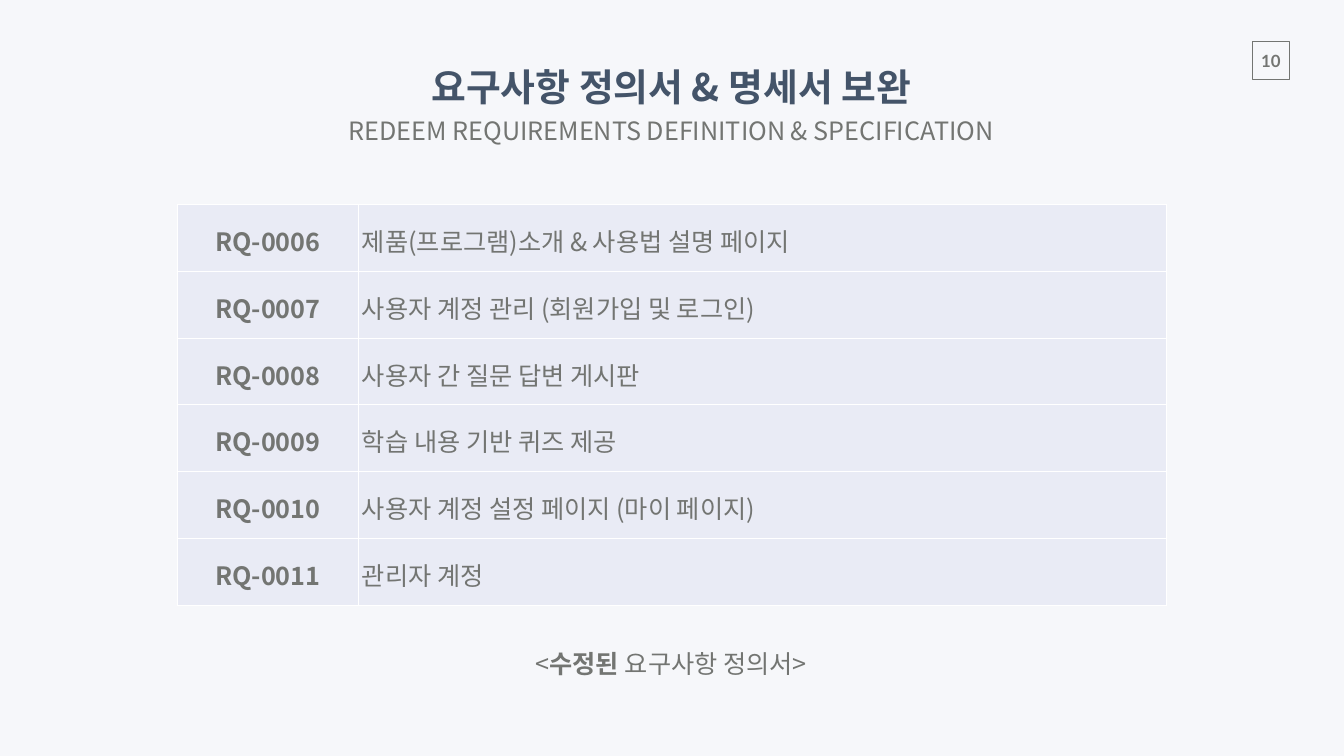
from lxml.etree import SubElement
from pptx import Presentation
from pptx.dml.color import RGBColor
from pptx.enum.shapes import MSO_SHAPE as Shape
from pptx.enum.text import MSO_ANCHOR as Anchor, MSO_AUTO_SIZE as Auto, PP_ALIGN as Align
from pptx.oxml import parse_xml
from pptx.oxml.ns import nsdecls, qn
from pptx.util import Cm, Pt

PAPER = RGBColor(0xF6, 0xF7, 0xFA)
NAVY = RGBColor(0x44, 0x54, 0x69)
GRAY = RGBColor(0x73, 0x75, 0x72)
LILAC = RGBColor(0xE9, 0xEB, 0xF5)
WHITE = RGBColor(0xFF, 0xFF, 0xFF)
SANS = "Noto Sans CJK KR"
MID = 33.82  # centre line of the texts, cm

ROWS = [
    ("RQ-0006", "제품(프로그램)소개 & 사용법 설명 페이지"),
    ("RQ-0007", "사용자 계정 관리 (회원가입 및 로그인)"),
    ("RQ-0008", "사용자 간 질문 답변 게시판"),
    ("RQ-0009", "학습 내용 기반 퀴즈 제공"),
    ("RQ-0010", "사용자 계정 설정 페이지 (마이 페이지)"),
    ("RQ-0011", "관리자 계정"),
]


class Page:
    def __init__(self, slide):
        self.slide = slide
        self.shapes = slide.shapes
        fill = slide.background.fill
        fill.solid()
        fill.fore_color.rgb = PAPER

    def style(self, run, size=36, color=GRAY, bold=False, face=SANS):
        font = run.font
        font.size, font.bold, font.name = Pt(size), bold, face
        font.color.rgb = color
        SubElement(run.font._element, qn("a:ea")).set("typeface", face)

    def text(self, parts, mid, top, width, height, pad=(0.68, 0.34),
             anchor=Anchor.MIDDLE, wrap=False, **look):
        """Centred text; parts are (words, bold) pairs."""
        box = self.shapes.add_textbox(Cm(mid - width / 2), Cm(top), Cm(width), Cm(height))
        frame = box.text_frame
        frame.word_wrap = wrap
        frame.auto_size = Auto.SHAPE_TO_FIT_TEXT
        frame.vertical_anchor = anchor
        frame.margin_left = frame.margin_right = Cm(pad[0])
        frame.margin_top = frame.margin_bottom = Cm(pad[1])
        para = frame.paragraphs[0]
        para.alignment = Align.CENTER
        for words, bold in parts:
            run = para.add_run()
            run.text = words
            self.style(run, bold=bold, **look)

    def frame(self, left, top, side):
        box = self.shapes.add_shape(Shape.RECTANGLE, Cm(left), Cm(top), Cm(side), Cm(side))
        box.shadow.inherit = False
        box.fill.background()
        box.line.color.rgb = GRAY
        box.line.width = Pt(1)

    def edge(self, cell):
        props = cell._tc.get_or_add_tcPr()
        for spot, side in enumerate("LRTB"):
            props.insert(spot, parse_xml(
                f'<a:ln{side} {nsdecls("a")} w="{Pt(1)}"><a:solidFill>'
                f'<a:srgbClr val="{WHITE}"/></a:solidFill></a:ln{side}>'))

    def cell(self, cell, words, head):
        cell.text_frame.text = words
        cell.vertical_anchor = Anchor.MIDDLE
        cell.margin_left = cell.margin_right = Cm(0.18)
        cell.margin_top = cell.margin_bottom = Cm(0.18)
        cell.fill.solid()
        cell.fill.fore_color.rgb = LILAC
        self.edge(cell)
        para = cell.text_frame.paragraphs[0]
        para.alignment = Align.CENTER if head else Align.LEFT
        para.line_spacing = 1.15
        self.style(para.runs[0], bold=head)

    def table(self, rows, left, top, widths, height):
        grid = self.shapes.add_table(len(rows), len(widths), Cm(left), Cm(top),
                                     Cm(sum(widths)), Cm(height * len(rows))).table
        grid.first_row = grid.horz_banding = False
        for col, width in zip(grid.columns, widths):
            col.width = Cm(width)
        for r, row in enumerate(rows):
            grid.rows[r].height = Cm(height)
            for c, words in enumerate(row):
                self.cell(grid.cell(r, c), words, head=c == 0)


def main():
    deck = Presentation()
    deck.slide_width, deck.slide_height = Cm(67.72), Cm(38.1)
    page = Page(deck.slides.add_slide(deck.slide_layouts[6]))

    # Page number
    page.frame(63.09, 2.08, 1.9)
    page.text([("10", True)], 64.03, 2.29, 2.06, 1.55, pad=(0.5, 0.25),
              anchor=Anchor.TOP, size=24, face="Lato")

    # Headings
    page.text([("요구사항 정의서 & 명세서 보완", True)], MID, 2.84, 28.8, 3,
              size=54, color=NAVY)
    page.text([("REDEEM REQUIREMENTS DEFINITION & SPECIFICATION", False)],
              MID, 5.46, 34.98, 2.24)

    # Requirements and caption
    page.table(ROWS, 8.94, 10.29, (9.12, 40.7), 3.37)
    page.text([("<", False), ("수정된", True), (" 요구사항 정의서>", False)],
              MID, 32.33, 17.6, 2.24, wrap=True)

    deck.save("out.pptx")


if __name__ == "__main__":
    main()
